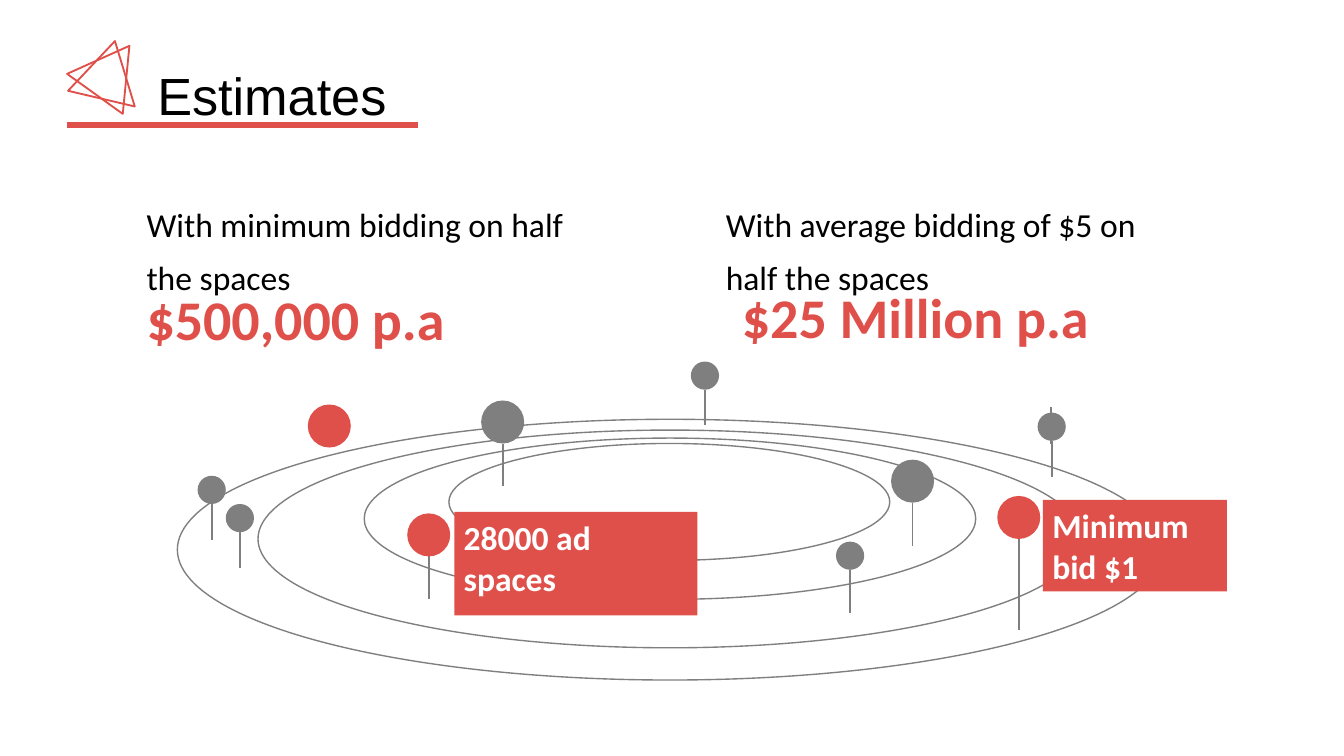
from pptx import Presentation
from pptx.dml.color import RGBColor
from pptx.enum.shapes import MSO_CONNECTOR as Line, MSO_SHAPE as Shape
from pptx.enum.text import MSO_ANCHOR as Anchor, PP_ALIGN as Align
from pptx.oxml.ns import qn
from pptx.util import Inches, Pt
from lxml.etree import SubElement

RED = RGBColor(0xE0, 0x50, 0x4B)
GRAY = RGBColor(0x7F, 0x7F, 0x7F)
BLACK = RGBColor(0, 0, 0)
WHITE = RGBColor(0xFF, 0xFF, 0xFF)

HEAD = {"name": "Arial", "size": Pt(28), "bold": False}
BODY = {"name": "Calibri", "size": Pt(18), "bold": False}
CALL = {"name": "Calibri", "size": Pt(18), "bold": True}
SUM = {"name": "Calibri", "size": Pt(30), "bold": True}


def add_line(slide, start, end, color, width):
    ends = [Inches(v) for v in (*start, *end)]
    line = slide.shapes.add_connector(Line.STRAIGHT, *ends)
    line.line.color.rgb = color
    line.line.width = Pt(width)
    SubElement(line._element.spPr, qn("a:effectLst"))


def add_form(slide, kind, box, fill=None, edge=None, width=1):
    form = slide.shapes.add_shape(kind, *[Inches(v) for v in box])
    form.shadow.inherit = False
    if fill is None:
        form.fill.background()
    else:
        form.fill.solid()
        form.fill.fore_color.rgb = fill
    if edge is None:
        form.line.fill.background()
    else:
        form.line.color.rgb = edge
        form.line.width = Pt(width)
    return form


def set_text(form, text, style, color, space=1.0):
    frame = form.text_frame
    layout = {
        "word_wrap": True,
        "vertical_anchor": Anchor.TOP,
        "margin_left": Inches(0.07),
        "margin_right": Inches(0.07),
        "margin_top": Inches(0.04),
        "margin_bottom": Inches(0.04),
    }
    for key, value in layout.items():
        setattr(frame, key, value)
    para = frame.paragraphs[0]
    para.alignment = Align.LEFT
    para.line_spacing = space
    run = para.add_run()
    run.text = text
    for key, value in style.items():
        setattr(run.font, key, value)
    run.font.color.rgb = color


def add_text(slide, box, text, style, color, space=1.0):
    form = slide.shapes.add_textbox(*[Inches(v) for v in box])
    set_text(form, text, style, color, space)


def add_title(slide, box, text):
    x, y, w, h = box
    for shift, turn in ((0.08, 35.7), (0.05, 13.2)):
        mark = add_form(slide, Shape.ISOSCELES_TRIANGLE,
                        (x + shift, y, 0.51, 0.44), edge=RED)
        mark.rotation = turn
    add_line(slide, (x, y + h), (x + w, y + h), RED, 3)
    add_text(slide, (x + 0.6, y + 0.13, 6.35, 0.32), text, HEAD, BLACK)


def add_claim(slide, box, text, total, shift, drop, high):
    x, y, w, h = box
    add_text(slide, (x + shift, y + drop, w, high), total, SUM, RED)
    add_text(slide, (x, y, w, h), text, BODY, BLACK, 1.3)


def add_pin(slide, x, y, size, stem, color):
    mid, foot = x + size / 2, y + size
    if stem:
        add_line(slide, (mid, foot), (mid, foot + stem), GRAY, 1)
    add_form(slide, Shape.OVAL, (x, y, size, size), color)


def add_orbit(slide, box):
    x, y, w, h = box
    rings = [(2.02, 0.18, 3.28, 0.87), (1.39, 0.14, 4.55, 1.2),
             (0.6, 0.08, 6.13, 1.62), (0, 0, w, h)]
    for left, top, wide, high in rings:
        add_form(slide, Shape.OVAL, (x + left, y + top, wide, high),
                 edge=GRAY, width=0.75)
    pins = [
        (0.97, -0.11, 0.32, 0, RED),
        (6.1, 0.57, 0.32, 0.68, RED),
        (1.71, 0.7, 0.32, 0.32, RED),
        (5.31, 0.3, 0.32, 0.32, GRAY),
        (2.26, -0.14, 0.32, 0.32, GRAY),
        (4.9, 0.91, 0.21, 0.32, GRAY),
        (3.82, -0.43, 0.21, 0.26, GRAY),
        (0.15, 0.42, 0.21, 0.27, GRAY),
        (0.36, 0.63, 0.21, 0.27, GRAY),
        (6.4, -0.05, 0.21, 0.27, GRAY),
    ]
    for left, top, size, stem, color in pins:
        add_pin(slide, x + left, y + top, size, stem, color)
    add_line(slide, (x + 6.5, y - 0.09), (x + 6.5, y + 0.18), GRAY, 1)
    calls = [((6.44, 0.6, 1.37, 0.68), "Minimum bid $1"),
             ((2.06, 0.69, 1.81, 0.77), "28000 ad spaces")]
    for (left, top, wide, high), text in calls:
        form = add_form(slide, Shape.RECTANGLE,
                        (x + left, y + top, wide, high), RED)
        set_text(form, text, CALL, WHITE)


def main():
    deck = Presentation()
    deck.slide_width = Inches(10)
    deck.slide_height = Inches(10 * 9 / 16)
    slide = deck.slides.add_slide(deck.slide_layouts[6])
    add_title(slide, (0.5, 0.3, 2.61, 0.63), "Estimates")
    add_orbit(slide, (1.32, 3.12, 7.33, 1.94))
    add_claim(slide, (1.02, 1.39, 3.31, 0.67),
              "With minimum bidding on half the spaces",
              "$500,000 p.a", 0, 0.69, 0.87)
    add_claim(slide, (5.33, 1.39, 3.31, 0.67),
              "With average bidding of $5 on half the spaces",
              "$25 Million p.a", 0.12, 0.67, 0.38)
    deck.save("out.pptx")


if __name__ == "__main__":
    main()
